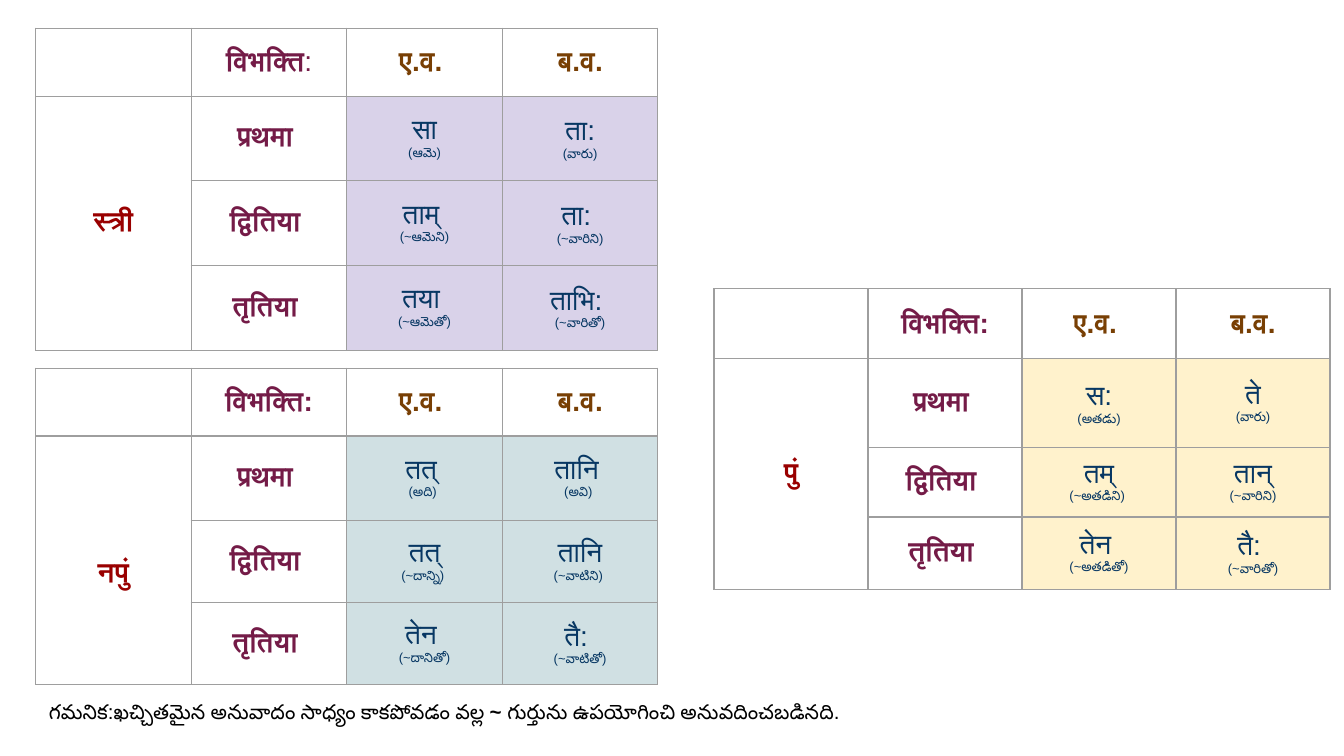
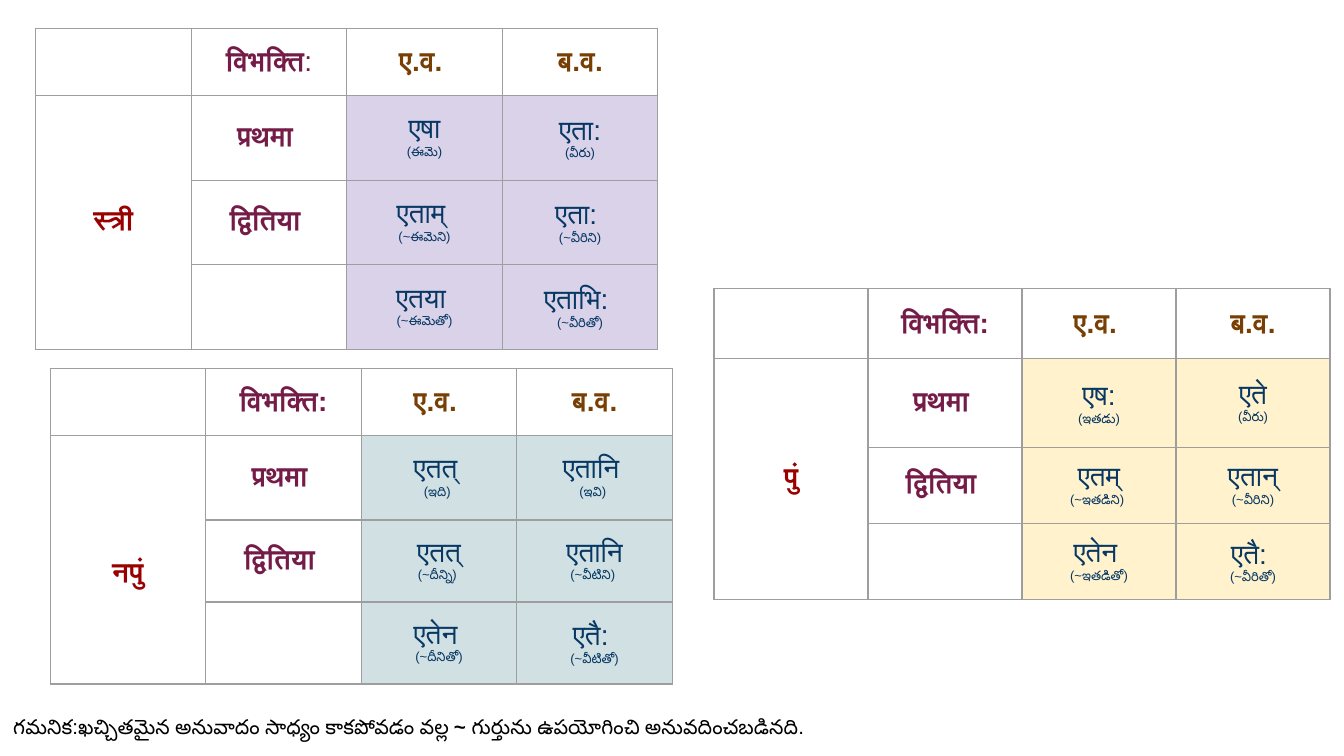
from dataclasses import dataclass
from itertools import product
from typing import NamedTuple

from lxml.etree import SubElement
from pptx import Presentation
from pptx.dml.color import RGBColor
from pptx.enum.text import MSO_ANCHOR, MSO_AUTO_SIZE, PP_ALIGN
from pptx.oxml.ns import qn
from pptx.slide import Slide
from pptx.table import _Cell
from pptx.text.text import _Paragraph
from pptx.util import Emu, Inches, Pt

SLIDE_WIDTH = Inches(10)
SLIDE_HEIGHT = Inches(5.625)


@dataclass(frozen=True)
class Theme:
    font: str = "Arial"
    word_size: float = 15
    gloss_size: float = 7
    note_size: float = 11
    case_color: str = "741B47"
    number_color: str = "783F04"
    gender_color: str = "990000"
    word_color: str = "073763"
    note_color: str = "000000"
    border_color: str = "9E9E9E"
    border_width: float = 0.75
    inset: float = 0.1


THEME = Theme()


class Gender(NamedTuple):
    label: str
    fill: str
    top: float
    width: float
    rows: tuple[float, ...]
    bold_colon: bool = True
    label_drop: float = 0


class Word(NamedTuple):
    sanskrit: str
    gloss: str


class Declension(NamedTuple):
    gender: Gender
    left: float
    words: tuple[tuple[Word, Word], ...]


class Lesson(NamedTuple):
    cases: tuple[str, ...]
    declensions: tuple[Declension, ...]
    note_left: float
    note_top: float


MASCULINE = Gender("पुं", "FFF2CC", 38.2, 45.83, (9.2, 11.8, 7.29, 7.29))
FEMININE = Gender("स्त्री", "D9D2E9", 3.73, 46.3, (8.75, 11.2, 11.2, 11.2), bold_colon=False)
NEUTER = Gender("नपुं", "D0E0E3", 48.7, 46.3, (8.89, 11.2, 10.85, 10.85), label_drop=0.21)

CASE_HEADING = "विभक्ति"
NUMBERS = ("ए.व. ", "ब.व.")
CASES = ("प्रथमा ", "द्वितिया ", "तृतिया ")
NOTE = (
    "గమనిక:ఖచ్చితమైన అనువాదం సాధ్యం కాకపోవడం వల్ల ",
    "~",
    " గుర్తును ఉపయోగించి అనువదించబడినది.",
)

LESSONS = (
    Lesson(
        CASES,
        (
            Declension(MASCULINE, 53.13, (
                (Word("स:", "(అతడు)"), Word("ते", "(వారు)")),
                (Word("तम्", "(~అతడిని) "), Word("तान्", "(~వారిని)")),
                (Word("तेन ", "(~అతడితో)"), Word("तै: ", "(~వారితో)")),
            )),
            Declension(FEMININE, 2.65, (
                (Word("सा", "(ఆమె)"), Word("ता:", "(వారు)")),
                (Word("ताम् ", "(~ఆమెని)"), Word("ता: ", "(~వారిని)")),
                (Word("तया ", "(~ఆమెతో)"), Word("ताभि: ", "(~వారితో)")),
            )),
            Declension(NEUTER, 2.65, (
                (Word("तत् ", "(అది) "), Word("तानि ", "(అవి) ")),
                (Word("तत्", "(~దాన్ని) "), Word("तानि", "(~వాటిని) ")),
                (Word("तेन ", "(~దానితో)"), Word("तै: ", "(~వాటితో)")),
            )),
        ),
        note_left=2.65,
        note_top=90.85,
    ),
    Lesson(
        CASES[:2],
        (
            Declension(MASCULINE, 53.13, (
                (Word("एष:", "(ఇతడు)"), Word("एते", "(వీరు)")),
                (Word("एतम्", "(~ఇతడిని) "), Word("एतान्", "(~వీరిని)")),
                (Word("एतेन ", "(~ఇతడితో)"), Word("एतै: ", "(~వీరితో)")),
            )),
            Declension(FEMININE, 2.65, (
                (Word("एषा", "(ఈమె)"), Word("एता:", "(వీరు)")),
                (Word("एताम् ", "(~ఈమెని)"), Word("एता: ", "(~వీరిని)")),
                (Word("एतया ", "(~ఈమెతో)"), Word("एताभि: ", "(~వీరితో)")),
            )),
            Declension(NEUTER, 3.73, (
                (Word("एतत् ", "(ఇది) "), Word("एतानि ", "(ఇవి) ")),
                (Word("एतत्", "(~దీన్ని) "), Word("एतानि", "(~వీటిని) ")),
                (Word("एतेन ", "(~దీనితో)"), Word("एतै: ", "(~వీటితో)")),
            )),
        ),
        note_left=0,
        note_top=92.8,
    ),
)


def across(percent: float) -> Emu:
    return Emu(round(SLIDE_WIDTH * percent / 100))


def down(percent: float) -> Emu:
    return Emu(round(SLIDE_HEIGHT * percent / 100))


def style(para: _Paragraph, size: float, color: str, bold: bool = False) -> None:
    para.font.name = THEME.font
    para.font.size = Pt(size)
    para.font.bold = bold
    para.font.color.rgb = RGBColor.from_string(color)


def prepare(cell: _Cell) -> None:
    cell.vertical_anchor = MSO_ANCHOR.MIDDLE
    cell.margin_left = cell.margin_right = Inches(THEME.inset)
    cell.margin_top = cell.margin_bottom = Inches(THEME.inset)
    properties = cell._tc.get_or_add_tcPr()
    for side in ("lnL", "lnR", "lnT", "lnB"):
        line = SubElement(properties, qn(f"a:{side}"), w=str(Pt(THEME.border_width)))
        SubElement(SubElement(line, qn("a:solidFill")), qn("a:srgbClr"), val=THEME.border_color)
    cell.fill.background()


def write_label(cell: _Cell, text: str, color: str) -> _Paragraph:
    para = cell.text_frame.paragraphs[0]
    para.alignment = PP_ALIGN.CENTER
    style(para, THEME.word_size, color, bold=True)
    para.add_run().text = text
    return para


def write_word(cell: _Cell, word: Word, fill: str) -> None:
    cell.fill.solid()
    cell.fill.fore_color.rgb = RGBColor.from_string(fill)
    frame = cell.text_frame
    lines = (frame.paragraphs[0], frame.add_paragraph())
    for para, text, size in zip(lines, word, (THEME.word_size, THEME.gloss_size)):
        para.alignment = PP_ALIGN.CENTER
        style(para, size, THEME.word_color)
        para.add_run().text = text


def draw_declension(page: Slide, declension: Declension, cases: tuple[str, ...]) -> None:
    gender = declension.gender
    row_count, column_count = len(gender.rows), 2 + len(NUMBERS)
    table = page.shapes.add_table(
        row_count, column_count, across(declension.left), down(gender.top),
        across(gender.width), down(sum(gender.rows)),
    ).table
    table.first_row = table.horz_banding = False
    for column in table.columns:
        column.width = across(gender.width / column_count)
    for row, height in zip(table.rows, gender.rows):
        row.height = down(height)
    for row, column in product(range(row_count), range(column_count)):
        prepare(table.cell(row, column))

    heading = write_label(table.cell(0, 1), CASE_HEADING, THEME.case_color)
    colon = heading.add_run()
    colon.text = ":"
    colon.font.bold = gender.bold_colon
    for column, number in enumerate(NUMBERS, 2):
        write_label(table.cell(0, column), number, THEME.number_color)

    gender_cell = table.cell(1, 0)
    gender_cell.merge(table.cell(row_count - 1, 0))
    gender_cell.margin_top = Inches(THEME.inset + gender.label_drop)
    write_label(gender_cell, gender.label, THEME.gender_color)
    for row, case in enumerate(cases, 1):
        write_label(table.cell(row, 1), case, THEME.case_color)
    for row, words in enumerate(declension.words, 1):
        for column, word in enumerate(words, 2):
            write_word(table.cell(row, column), word, gender.fill)


def draw_note(page: Slide, left: float, top: float) -> None:
    box = page.shapes.add_textbox(across(left), down(top), across(72.1), down(6.93))
    frame = box.text_frame
    frame.word_wrap = True
    frame.auto_size = MSO_AUTO_SIZE.SHAPE_TO_FIT_TEXT
    frame.margin_left = frame.margin_right = Inches(THEME.inset)
    frame.margin_top = frame.margin_bottom = Inches(THEME.inset)
    para = frame.paragraphs[0]
    style(para, THEME.note_size, THEME.note_color)
    for text in NOTE:
        span = para.add_run()
        span.text = text
        span.font.bold = text == "~"


def main() -> None:
    deck = Presentation()
    deck.slide_width, deck.slide_height = SLIDE_WIDTH, SLIDE_HEIGHT
    blank_layout = deck.slide_layouts[6]
    for lesson in LESSONS:
        page = deck.slides.add_slide(blank_layout)
        for declension in lesson.declensions:
            draw_declension(page, declension, lesson.cases)
        draw_note(page, lesson.note_left, lesson.note_top)
    deck.save("out.pptx")


if __name__ == "__main__":
    main()
